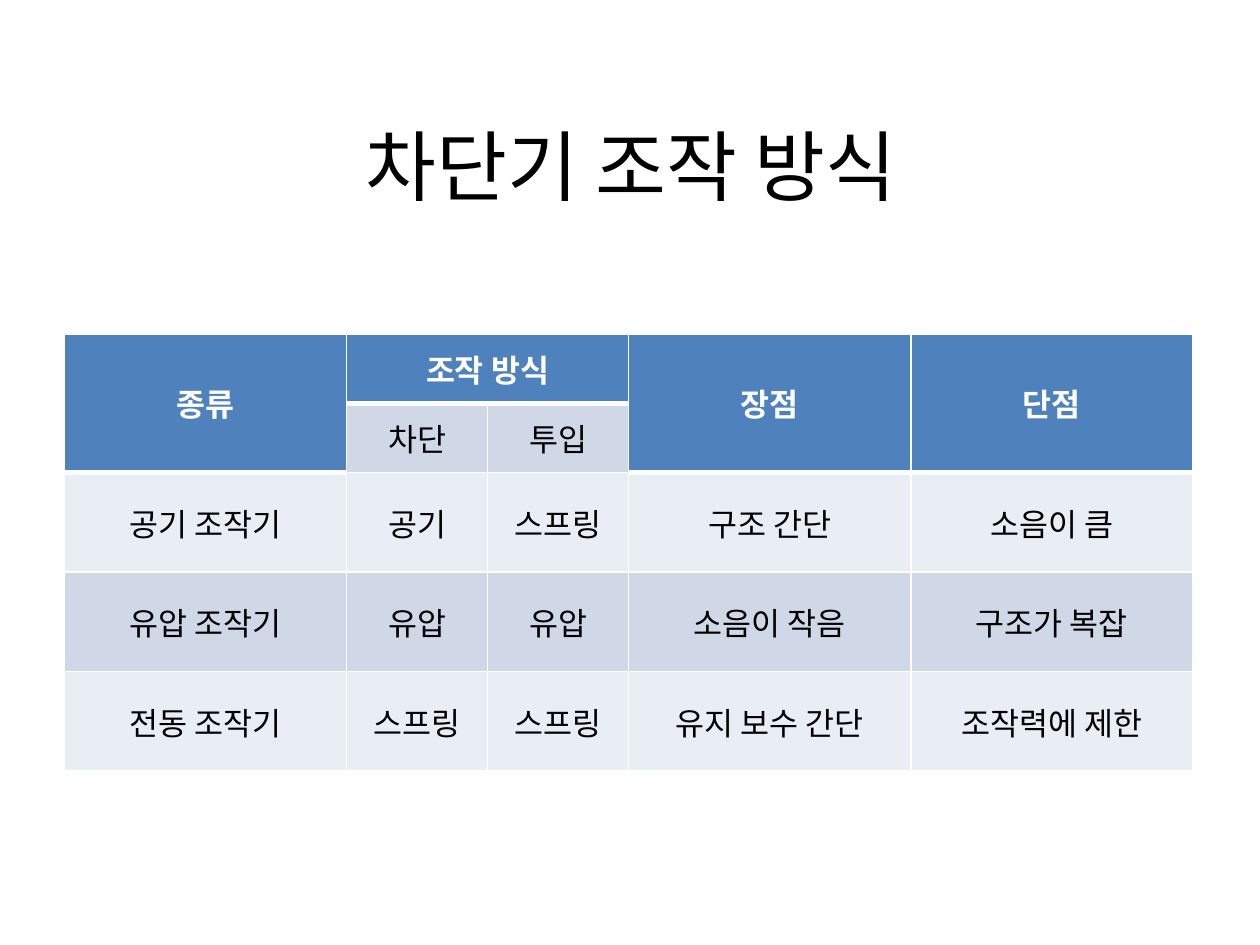
from lxml.etree import SubElement
from pptx import Presentation
from pptx.dml.color import RGBColor
from pptx.enum.text import MSO_ANCHOR as Anchor, PP_ALIGN as Align
from pptx.oxml.ns import qn
from pptx.util import Inches, Pt

COLUMNS = [2.24, 1.12, 1.12, 2.24, 2.24]
ROWS = [0.55, 0.55, 0.79, 0.79, 0.79]
CELLS = [
    ["종류", "조작 방식", None, "장점", "단점"],
    [None, "차단", "투입", None, None],
    ["공기 조작기", "공기", "스프링", "구조 간단", "소음이 큼"],
    ["유압 조작기", "유압", "유압", "소음이 작음", "구조가 복잡"],
    ["전동 조작기", "스프링", "스프링", "유지 보수 간단", "조작력에 제한"],
]
MERGES = [((0, 0), (1, 0)), ((0, 1), (0, 2)), ((0, 3), (1, 3)), ((0, 4), (1, 4))]


def color(hex_text):
    return RGBColor.from_string(hex_text)


class Deck:
    FONT = "Noto Sans CJK KR"
    BLACK, WHITE, HEADER = "000000", "FFFFFF", "4F81BD"
    BANDS = ["E9EDF4", "D0D8E8"]

    def __init__(self, prs):
        self.slide = prs.slides.add_slide(prs.slide_layouts[5])

    def add_text(self, tf, text, size, fill, bold=False):
        p = tf.paragraphs[0]
        p.alignment = Align.CENTER
        r = p.add_run()
        r.text = text
        r.font.name, r.font.size, r.font.bold = self.FONT, Pt(size), bold
        r.font.color.rgb = color(fill)
        SubElement(r._r.get_or_add_rPr(), qn("a:ea"), typeface=self.FONT)

    def title(self, text, left, top, width, height):
        sp = self.slide.shapes.title
        sp.left, sp.top = Inches(left), Inches(top)
        sp.width, sp.height = Inches(width), Inches(height)
        sp.text_frame.vertical_anchor = Anchor.MIDDLE
        self.add_text(sp.text_frame, text, 44, self.BLACK)

    def border(self, cell, side, points):
        """Draw one white edge; edges must precede the cell's fill."""
        ln = SubElement(cell._tc.get_or_add_tcPr(), qn(f"a:{side}"), w=str(Pt(points)))
        fill = SubElement(ln, qn("a:solidFill"))
        SubElement(fill, qn("a:srgbClr"), val=self.WHITE)

    def cell(self, cell, text, row, is_header):
        self.border(cell, "lnL", 1)
        self.border(cell, "lnR", 1)
        if row == 0:
            self.border(cell, "lnT", 1)
        self.border(cell, "lnB", 3 if is_header else 1)
        cell.fill.solid()
        cell.fill.fore_color.rgb = color(self.HEADER if is_header else self.BANDS[row % 2])
        cell.vertical_anchor = Anchor.MIDDLE
        if text:
            self.add_text(cell.text_frame, text, 18,
                          self.WHITE if is_header else self.BLACK, is_header)

    def table(self, left, top, columns, rows, texts, merges):
        table = self.slide.shapes.add_table(
            len(rows), len(columns), Inches(left), Inches(top),
            Inches(sum(columns)), Inches(sum(rows))).table
        for column, width in zip(table.columns, columns):
            column.width = Inches(width)
        for row, height in zip(table.rows, rows):
            row.height = Inches(height)
        for start, end in merges:
            table.cell(*start).merge(table.cell(*end))
        for i, line in enumerate(texts):
            for j, text in enumerate(line):
                is_header = i == 0 or text is None
                self.cell(table.cell(i, j), text, i, is_header)


def main():
    prs = Presentation()
    prs.slide_width, prs.slide_height = Inches(10), Inches(7.5)
    deck = Deck(prs)
    deck.title("차단기 조작 방식", 0.51, 0.68, 9, 1.25)
    deck.table(0.51, 2.65, COLUMNS, ROWS, CELLS, MERGES)
    prs.save("out.pptx")


if __name__ == "__main__":
    main()
